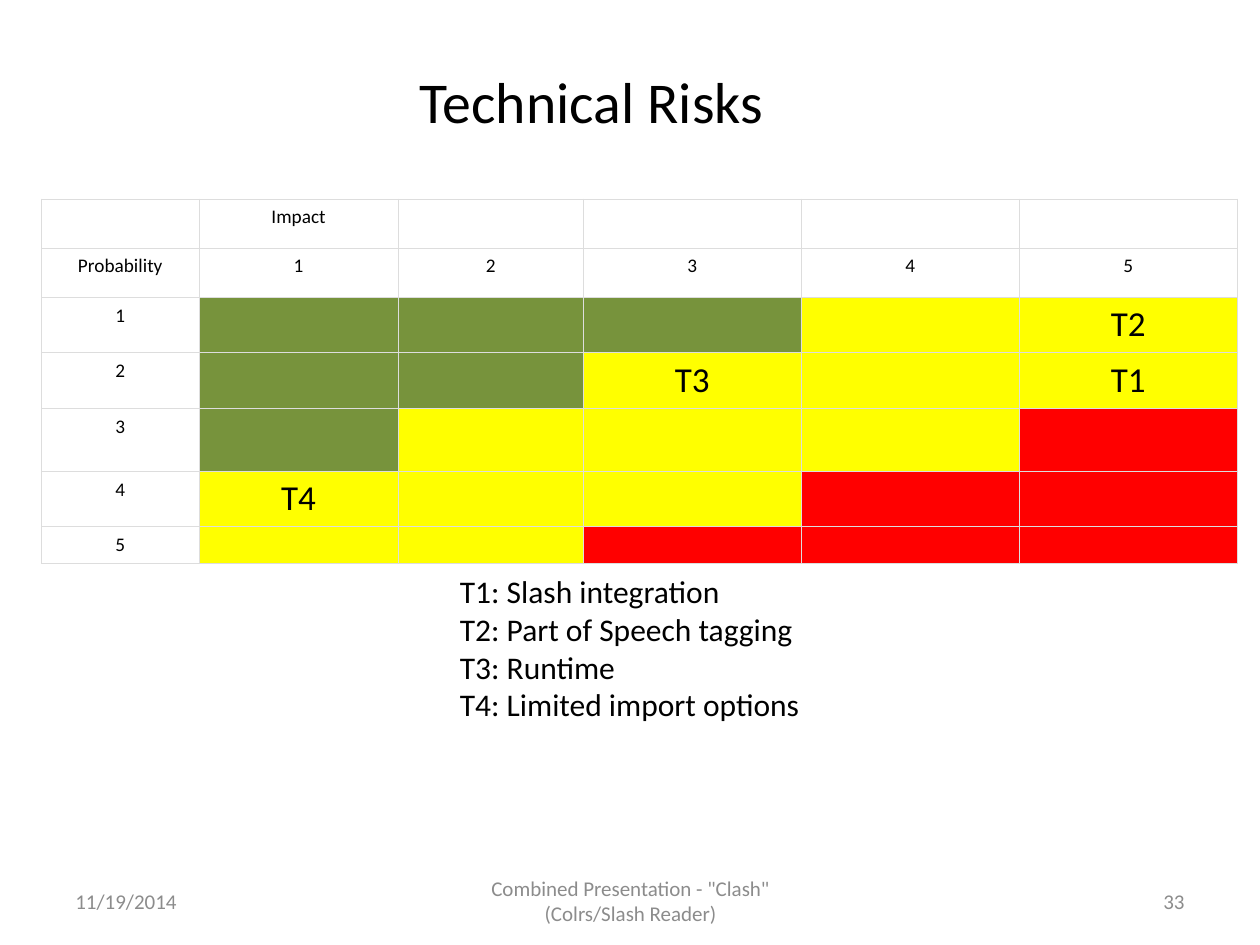
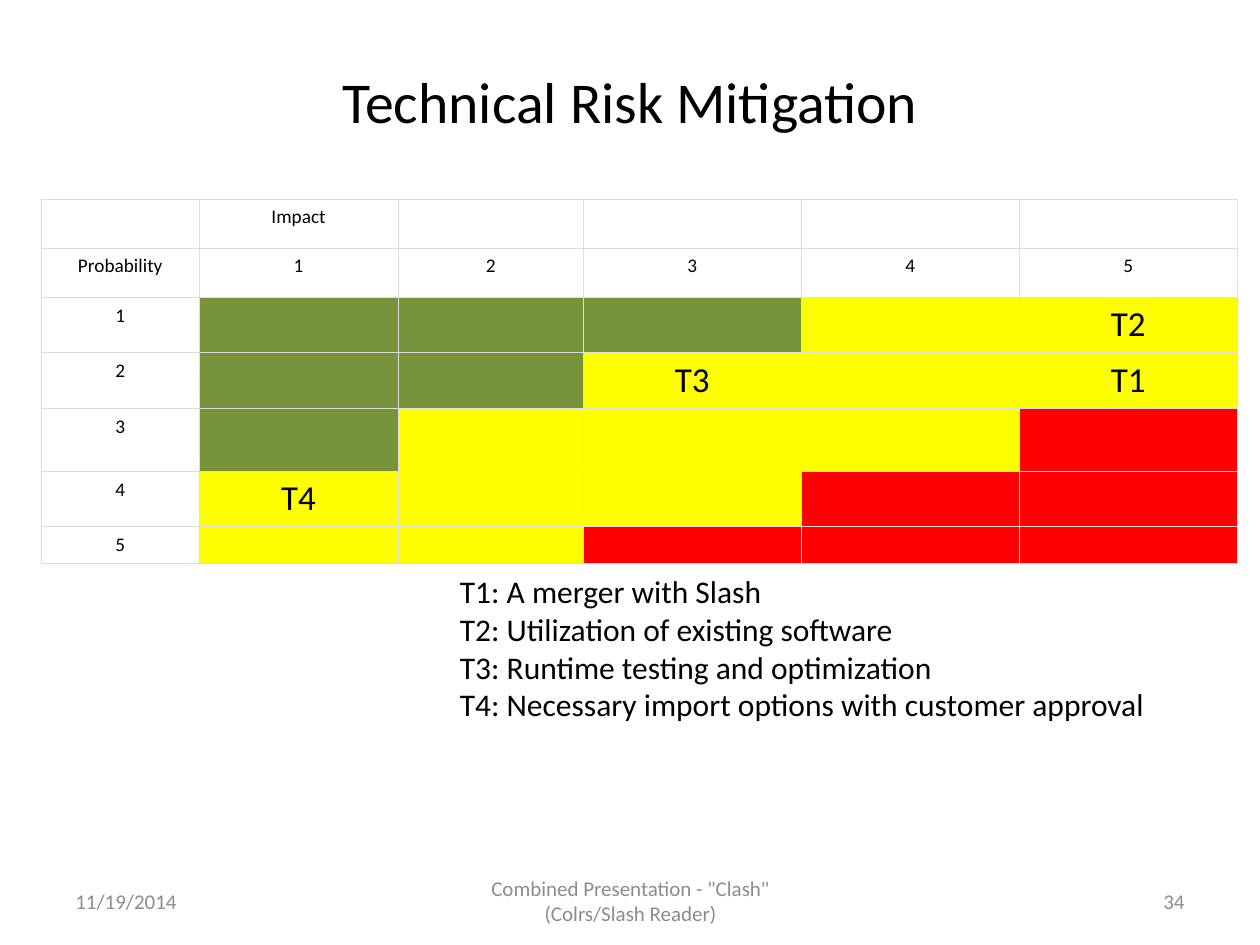
"""Build two slides that show the technical risk matrix and its mitigation."""
from dataclasses import dataclass

from lxml import etree
from pptx import Presentation
from pptx.dml.color import RGBColor
from pptx.enum import text
from pptx.oxml.ns import qn
from pptx.util import Inches, Pt

FONT = "Calibri"
BLACK, GREY, BORDER = "000000", "8C8C8C", "DDDDDD"
GREEN, YELLOW, RED = "77933C", "FFFF00", "FF0000"
LEFT, CENTER, RIGHT = text.PP_ALIGN.LEFT, text.PP_ALIGN.CENTER, text.PP_ALIGN.RIGHT
TOP, MIDDLE = text.MSO_ANCHOR.TOP, text.MSO_ANCHOR.MIDDLE

COLUMN_WIDTHS = (1.25, 1.58, 1.47, 1.73, 1.73, 1.73)
ROW_HEIGHTS = (0.39, 0.39, 0.39, 0.39, 0.5, 0.39, 0.26)
LEVELS = range(1, 6)
RISKS = {(1, 5): "T2", (2, 5): "T1", (2, 3): "T3", (4, 1): "T4"}


@dataclass(frozen=True)
class Box:
    left: float
    top: float
    width: float
    height: float


@dataclass(frozen=True)
class TextStyle:
    size: int
    color: str = BLACK
    align: text.PP_ALIGN = LEFT
    anchor: text.MSO_ANCHOR = MIDDLE
    margin_x: float = 0.07
    margin_y: float = 0.04


@dataclass(frozen=True)
class FooterPart:
    words: str
    box: Box
    align: text.PP_ALIGN


@dataclass(frozen=True)
class RiskSlide:
    heading: str
    heading_box: Box
    legend: tuple[str, ...]
    legend_box: Box
    number: int


HEADING = TextStyle(33, align=CENTER)
LEGEND = TextStyle(18, anchor=TOP)
LABEL = TextStyle(11, align=CENTER, anchor=TOP, margin_x=0.05, margin_y=0.05)
RISK = TextStyle(20, align=CENTER, anchor=TOP, margin_x=0.05, margin_y=0.05)

RISK_SLIDES = (
    RiskSlide(
        "Technical Risks", Box(3.03, 0.33, 3.33, 0.94),
        ("T1: Slash integration", "T2: Part of Speech tagging",
         "T3: Runtime", "T4: Limited import options"),
        Box(3.58, 4.5, 3.75, 2.2), 33),
    RiskSlide(
        "Technical Risk Mitigation", Box(2.5, 0.33, 5, 0.94),
        ("T1: A merger with Slash", "T2: Utilization of existing software",
         "T3: Runtime testing and optimization",
         "T4: Necessary import options with customer approval"),
        Box(3.58, 4.5, 5.67, 2.13), 34),
)


def rgb(value: str) -> RGBColor:
    return RGBColor.from_string(value)


def inches(box: Box) -> tuple:
    return tuple(Inches(n) for n in (box.left, box.top, box.width, box.height))


def set_all(target, values: dict) -> None:
    for attribute, value in values.items():
        setattr(target, attribute, value)


def margins(style: TextStyle) -> dict:
    x, y = Inches(style.margin_x), Inches(style.margin_y)
    return {"margin_left": x, "margin_right": x, "margin_top": y, "margin_bottom": y}


def write(frame, lines: tuple[str, ...], style: TextStyle) -> None:
    frame.text = "\n".join(lines)
    for paragraph in frame.paragraphs:
        set_all(paragraph, {"alignment": style.align, "space_before": Pt(0)})
        for run in paragraph.runs:
            set_all(run.font, {"name": FONT, "size": Pt(style.size)})
            run.font.color.rgb = rgb(style.color)


def fill_box(shape, lines: tuple[str, ...], style: TextStyle) -> None:
    frame = shape.text_frame
    write(frame, lines, style)
    set_all(frame, {"word_wrap": True, "auto_size": text.MSO_AUTO_SIZE.NONE,
                    "vertical_anchor": style.anchor, **margins(style)})


def place(placeholder, box: Box) -> None:
    set_all(placeholder, dict(zip(("left", "top", "width", "height"), inches(box))))


def remove_bullets(frame) -> None:
    for paragraph in frame.paragraphs:
        properties = paragraph._p.get_or_add_pPr()
        set_all_xml = {"marL": "0", "indent": "0"}
        properties.attrib.update(set_all_xml)
        etree.SubElement(properties, qn("a:buNone"))


def add_borders(cell) -> None:
    properties = cell._tc.get_or_add_tcPr()
    for side in ("a:lnL", "a:lnR", "a:lnT", "a:lnB"):
        line = etree.SubElement(properties, qn(side), w=str(Pt(0.75)))
        solid = etree.SubElement(line, qn("a:solidFill"))
        etree.SubElement(solid, qn("a:srgbClr"), val=BORDER)


def draw_cell(cell, words: str, style: TextStyle, fill: str | None = None) -> None:
    write(cell.text_frame, (words,), style)
    if not words:
        etree.SubElement(cell.text_frame.paragraphs[0]._p, qn("a:endParaRPr"),
                         sz=str(style.size * 100))
    set_all(cell, {"vertical_anchor": style.anchor, **margins(style)})
    add_borders(cell)
    if fill:
        cell.fill.solid()
        cell.fill.fore_color.rgb = rgb(fill)
    else:
        cell.fill.background()


def severity(probability: int, impact: int) -> str:
    score = probability + impact
    return GREEN if score <= 4 else YELLOW if score <= 7 else RED


def draw_matrix(slide) -> None:
    frame = slide.shapes.add_table(len(ROW_HEIGHTS), len(COLUMN_WIDTHS),
                                   *inches(Box(0.33, 1.58, 9.5, 2.84)))
    matrix = frame.table
    set_all(matrix, {"first_row": False, "horz_banding": False})
    for column, width in zip(matrix.columns, COLUMN_WIDTHS):
        column.width = Inches(width)
    for row, height in zip(matrix.rows, ROW_HEIGHTS):
        row.height = Inches(height)
    headers = (("", "Impact", "", "", "", ""),
               ("Probability", *map(str, LEVELS)))
    for row, labels in enumerate(headers):
        for column, label in enumerate(labels):
            draw_cell(matrix.cell(row, column), label, LABEL)
    for probability in LEVELS:
        row = probability + 1
        draw_cell(matrix.cell(row, 0), str(probability), LABEL, "FFFFFF")
        for impact in LEVELS:
            risk = RISKS.get((probability, impact), "")
            draw_cell(matrix.cell(row, impact), risk, RISK if risk else LABEL,
                      severity(probability, impact))


def draw_footer(slide, number: int) -> None:
    parts = (
        FooterPart("11/19/2014", Box(0.5, 6.95, 2.33, 0.4), LEFT),
        FooterPart('Combined Presentation - "Clash" (Colrs/Slash Reader)',
                   Box(3.42, 6.95, 3.17, 0.4), CENTER),
        FooterPart(str(number), Box(7.17, 6.95, 2.33, 0.4), RIGHT),
    )
    for part in parts:
        style = TextStyle(12, GREY, part.align, margin_x=0.1, margin_y=0.05)
        fill_box(slide.shapes.add_textbox(*inches(part.box)), (part.words,), style)


def draw_slide(deck, content: RiskSlide) -> None:
    slide = deck.slides.add_slide(deck.slide_layouts[1])
    heading, legend = slide.shapes.title, slide.placeholders[1]
    place(heading, content.heading_box)
    fill_box(heading, (content.heading,), HEADING)
    place(legend, content.legend_box)
    fill_box(legend, content.legend, LEGEND)
    remove_bullets(legend.text_frame)
    draw_matrix(slide)
    draw_footer(slide, content.number)


def main() -> None:
    deck = Presentation()
    set_all(deck, {"slide_width": Inches(10), "slide_height": Inches(7.5)})
    for content in RISK_SLIDES:
        draw_slide(deck, content)
    deck.save("out.pptx")


if __name__ == "__main__":
    main()
